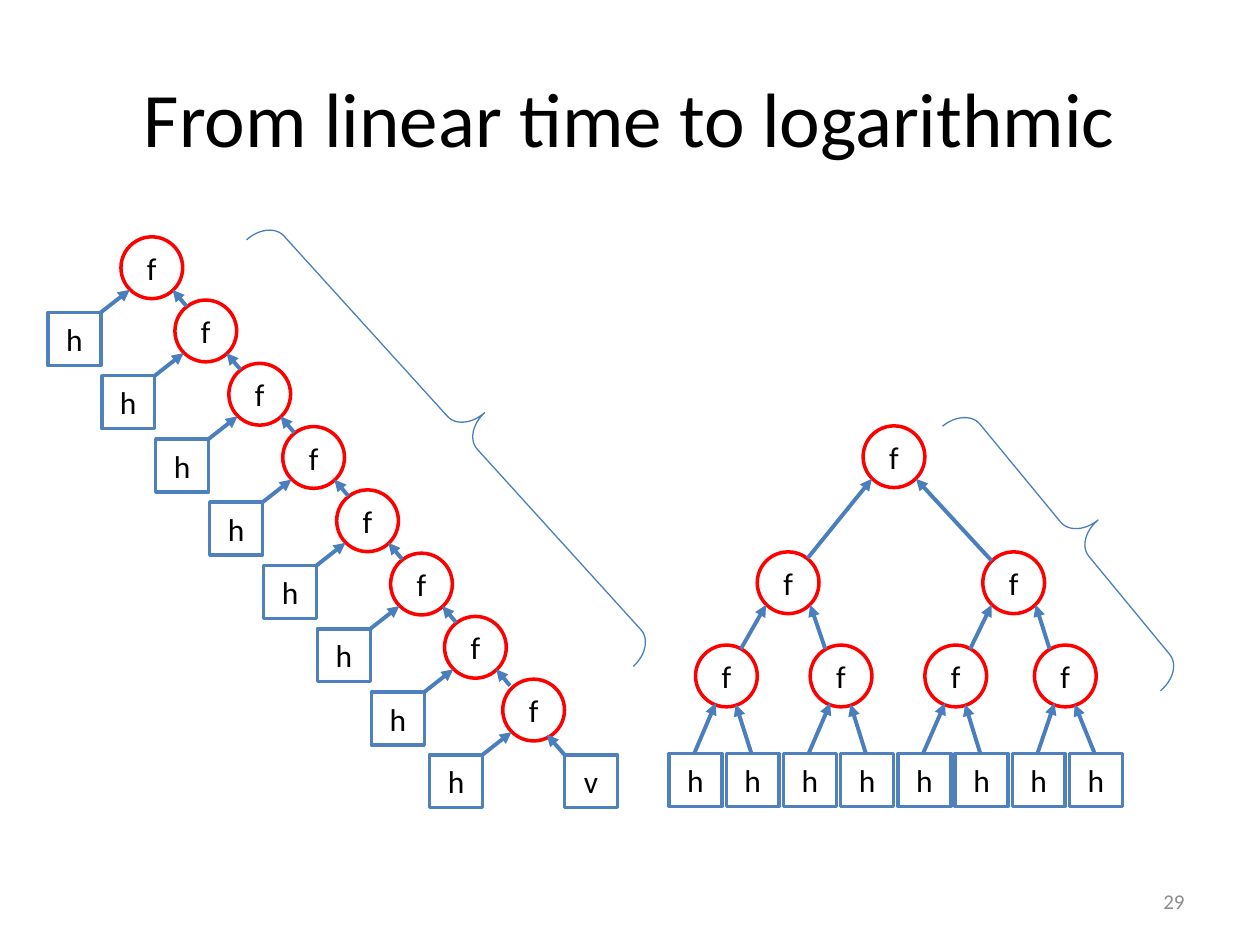
"""Build a slide that sets a linear chain of calls beside a balanced tree."""
from dataclasses import dataclass

from lxml import etree
from pptx import Presentation
from pptx import util as u
from pptx.dml import color
from pptx.enum import shapes, text
from pptx.oxml import ns


@dataclass(frozen=True)
class Theme:
    font: str = "Calibri"
    ink: str = "000000"
    grey: str = "8C8C8C"
    red: str = "FF0000"
    blue: str = "4F81BD"
    line: str = "4B7EBC"
    title: int = 44
    node: int = 18
    note: int = 12


THEME = Theme()
DOT, BOX = 0.49, 0.42
TIP_L, TIP_R = (0.07, 0.42), (0.42, 0.42)


def rgb(code):
    return color.RGBColor.from_string(code)


def write(frame, words, size, align, ink=THEME.ink):
    frame.word_wrap = True
    frame.vertical_anchor = text.MSO_ANCHOR.MIDDLE
    para = frame.paragraphs[0]
    para.alignment = align
    run = para.add_run()
    run.text = words
    run.font.name, run.font.size = THEME.font, u.Pt(size)
    run.font.color.rgb = rgb(ink)


def shape(group, kind, place, ink, width):
    item = group.shapes.add_shape(kind, *map(u.Inches, place))
    item.shadow.inherit = False
    item.fill.background()
    item.line.color.rgb, item.line.width = rgb(ink), u.Pt(width)
    return item


def dot(group, x, y):
    item = shape(group, shapes.MSO_SHAPE.OVAL, (x, y, DOT, DOT), THEME.red, 2)
    write(item.text_frame, "f", THEME.node, text.PP_ALIGN.CENTER)


def box(group, x, y, word="h"):
    item = shape(group, shapes.MSO_SHAPE.RECTANGLE, (x, y, BOX, BOX), THEME.blue, 2)
    write(item.text_frame, word, THEME.node, text.PP_ALIGN.CENTER)


def brace(group, place, turn):
    item = shape(group, shapes.MSO_SHAPE.RIGHT_BRACE, place, THEME.line, 0.75)
    item.adjustments[0], item.adjustments[1] = 0.365, 0.5
    item.rotation = turn


def arrow(group, start, end):
    item = group.shapes.add_connector(
        shapes.MSO_CONNECTOR.STRAIGHT, *map(u.Inches, (*start, *end)))
    item.line.color.rgb, item.line.width = rgb(THEME.line), u.Pt(2.25)
    etree.SubElement(item.line._get_or_add_ln(), ns.qn("a:tailEnd"), type="triangle")
    etree.SubElement(item._element.spPr, ns.qn("a:effectLst"))


def link(group, low, start, high, end):
    arrow(group, (low[0] + start[0], low[1] + start[1]),
          (high[0] + end[0], high[1] + end[1]))


def chain(group):
    spots = [(0.96 + 0.428 * i, 1.88 + 0.502 * i) for i in range(7)] + [(3.99, 5.39)]
    for spot in spots:
        x, y = spot
        dot(group, x, y)
        box(group, x - 0.58, y + 0.6)
        link(group, spot, (-0.16, 0.6), spot, TIP_L)
    for spot in spots[:-1]:
        link(group, spot, (0.52, 0.55), spot, (0.41, 0.42))
    last = spots[-1]
    link(group, last, (0.49, 0.6), last, (0.35, 0.44))
    box(group, last[0] + 0.49, last[1] + 0.6, "v")


def tree(group):
    root = (6.85, 3.38)
    mids = [(6.01, 4.38), (7.8, 4.38)]
    lows = [(x, 5.12) for x in (5.52, 6.43, 7.34, 8.21)]
    leaves = [(5.31 + 0.454 * i, 5.98) for i in range(8)]
    for spot in leaves:
        box(group, *spot)
    for spot in lows + mids + [root]:
        dot(group, *spot)
    levels = [
        (leaves, lows, [(0.2, 0), (0.2, 0)], [(0.16, 0.46), (0.32, 0.47)]),
        (lows, mids, [(0.36, 0.03), (0.12, 0.03)], [TIP_L, TIP_R]),
        (mids, [root], [(0.4, 0.05), (0.07, 0.07)], [TIP_L, TIP_R]),
    ]
    for kids, tops, starts, ends in levels:
        for i, kid in enumerate(kids):
            link(group, kid, starts[i % 2], tops[i // 2], ends[i % 2])
    brace(group, (8.29, 2.92, 0.48, 2.72), 320.5)


def place(item, *spot):
    item.left, item.top, item.width, item.height = map(u.Inches, spot)


def main():
    deck = Presentation()
    deck.slide_width, deck.slide_height = u.Inches(10), u.Inches(7.5)
    slide = deck.slides.add_slide(deck.slide_layouts[5])
    title = slide.shapes.title
    place(title, 0.5, 0.3, 9, 1.25)
    write(title.text_frame, "From linear time to logarithmic",
          THEME.title, text.PP_ALIGN.CENTER)
    note = slide.shapes.add_textbox(*map(u.Inches, (7.17, 6.95, 2.33, 0.4)))
    write(note.text_frame, "29", THEME.note, text.PP_ALIGN.RIGHT, THEME.grey)
    brace(slide, (3.43, 1.15, 0.48, 4.57), 317.8)
    chain(slide.shapes.add_group_shape())
    tree(slide.shapes.add_group_shape())
    deck.save("out.pptx")


if __name__ == "__main__":
    main()
